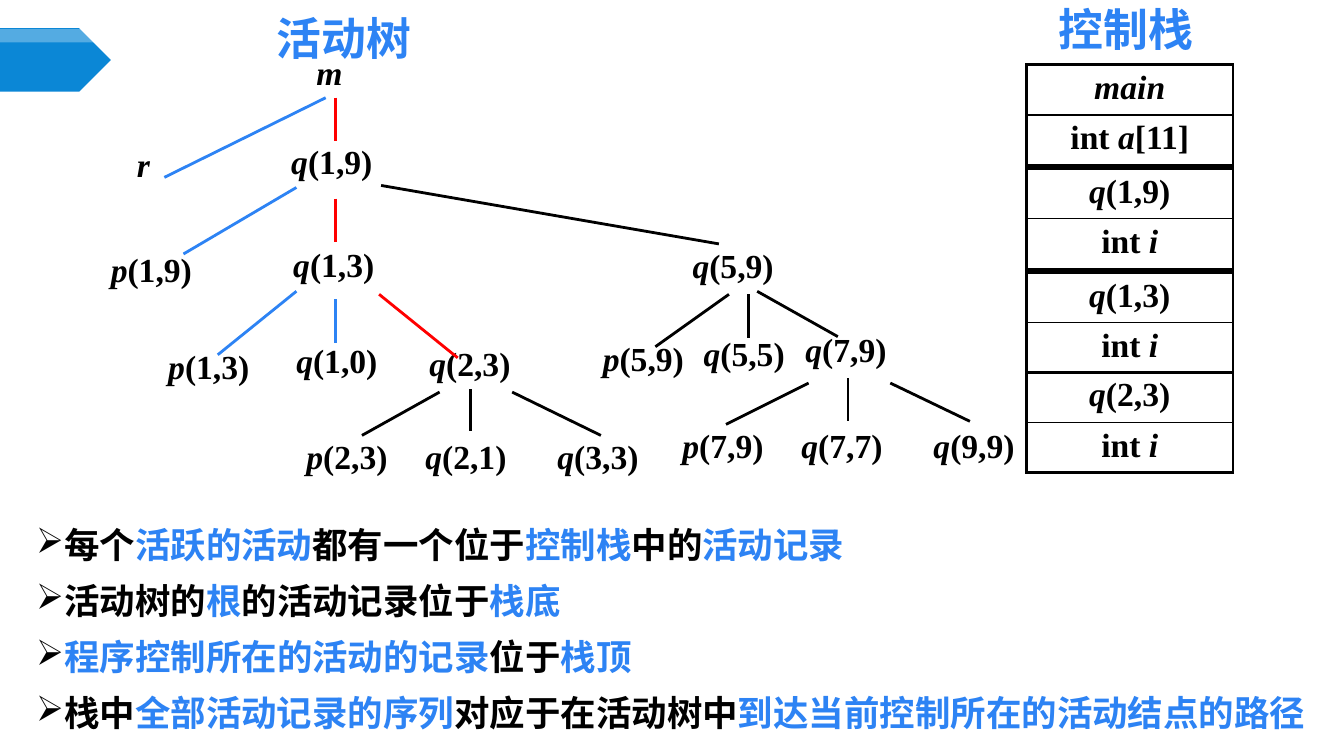
from lxml.etree import SubElement
from pptx import Presentation
from pptx.dml.color import RGBColor
from pptx.enum.shapes import MSO_CONNECTOR, MSO_SHAPE
from pptx.enum.text import MSO_AUTO_SIZE, PP_ALIGN
from pptx.oxml.ns import qn
from pptx.util import Inches, Pt

COLORS = {"black": "000000", "white": "FFFFFF", "blue": "2D83F4",
          "red": "FF0000", "plate": "0B87D6"}
LATIN, CHINESE = "Times New Roman", "Noto Sans CJK SC"

# Marked text: every second part between bars is emphasised.
# Label, left, top and, where it differs, width and height
NODES = [
    ("|m|", 30.4, 4.7, 6.4, 6.6), ("|r|", 12.6, 13.8, 6.3, 6.6),
    ("|q|(1,9)", 27.9, 13.5), ("|p|(1,9)", 10, 24.2),
    ("|q|(1,3)", 28.1, 23.7), ("|q|(5,9)", 67.7, 23.8),
    ("|p|(1,3)", 15.7, 33.8), ("|q|(1,0)", 28.4, 33.2), ("|q|(2,3)", 41.6, 33.5),
    ("|p|(5,9)", 58.8, 33), ("|q|(5,5)", 68.8, 32.5), ("|q|(7,9)", 78.9, 32.1),
    ("|p|(2,3)", 29.4, 42.8), ("|q|(2,1)", 41.2, 42.8, 12.5, 5.2),
    ("|q|(3,3)", 54.3, 42.8),
    ("|p|(7,9)", 66.7, 41.7), ("|q|(7,7)", 78.5, 41.7, 12.5, 5.3),
    ("|q|(9,9)", 91.6, 41.7),
]

# Start column, start row, end column, end row
BRANCHES = {
    "red": [(33.3, 9.7, 33.3, 14), (33.3, 19.7, 33.3, 24), (37.6, 29.2, 45.4, 35.5)],
    "blue": [(32.3, 9.7, 16.3, 17.6), (29.4, 18.6, 18.2, 25.2),
             (29.4, 28.9, 21.6, 35.2), (33.3, 29.7, 33.3, 34)],
    "black": [
        (37.8, 18.4, 71.3, 24.2),
        (72.3, 29.2, 65, 34.4), (74.2, 29.2, 74.2, 33.5), (75.1, 28.9, 83.1, 33.4),
        (43.6, 38.9, 35.9, 43.2), (46.7, 38.6, 46.7, 42.8), (50.8, 38.9, 59.6, 43.2),
        (80.2, 38, 72, 42.1), (84.1, 37.5, 84.1, 41.8), (88.3, 38, 96.2, 41.8),
    ],
}

# Top row, procedure, local variable
RECORDS = [
    (6.4, "|main|", "int |a|[11]"),
    (16.7, "|q|(1,9)", "int |i|"),
    (27, "|q|(1,3)", "int |i|"),
    (36.9, "|q|(2,3)", "int |i|"),
]

POINTS = [
    "每个|活跃的活动|都有一个位于|控制栈|中的|活动记录|",
    "活动树的|根|的活动记录位于|栈底|",
    "|程序控制所在的活动的记录|位于|栈顶|",
    "栈中|全部活动记录的序列|对应于在活动树中|到达当前控制所在的活动结点的路径|",
]


def color(name):
    return RGBColor.from_string(COLORS[name])


def add_color(parent, name):
    SubElement(parent, qn("a:srgbClr"), val=COLORS[name])


class TreeSlide:
    """Draws on a grid whose columns and rows are a tenth of an inch."""

    def __init__(self, deck):
        self.slide = deck.slides.add_slide(deck.slide_layouts[6])
        self.shapes = self.slide.shapes

    def grid(self, *lengths):
        return [Inches(length / 10) for length in lengths]

    def fill_text(self, para, text, size, align, face=LATIN, ink="black", highlight=None):
        """Fill a paragraph; emphasis is a highlight colour, or else italics."""
        para.alignment = align
        font = para.font
        font.size, font.bold, font.name = Pt(size), True, face
        font.color.rgb = color(ink)
        if face == CHINESE:
            SubElement(font._element, qn("a:ea"), typeface=face)
        for index, part in enumerate(text.split("|")):
            if not part:
                continue
            span = para.add_run()
            span.text = part
            if index % 2 and highlight:
                span.font.color.rgb = color(highlight)
            elif index % 2:
                span.font.italic = True

    def frame(self, left, top, width, height, grow=False):
        box = self.shapes.add_textbox(*self.grid(left, top, width, height))
        frame = box.text_frame
        frame.word_wrap = True
        if grow:
            frame.auto_size = MSO_AUTO_SIZE.SHAPE_TO_FIT_TEXT
        return frame

    def title(self, text, *place):
        para = self.frame(*place, grow=True).paragraphs[0]
        self.fill_text(para, text, 32, PP_ALIGN.CENTER, CHINESE, "blue")

    def node(self, label, left, top, width=12.5, height=7.6):
        para = self.frame(left, top, width, height).paragraphs[0]
        self.fill_text(para, label, 24, PP_ALIGN.JUSTIFY)

    def branch(self, ink, *ends):
        line = self.shapes.add_connector(MSO_CONNECTOR.STRAIGHT, *self.grid(*ends))
        line.line.color.rgb = color(ink)
        line.line.width = Pt(2)
        SubElement(line._element.spPr, qn("a:effectLst"))

    def plate(self, fill, opacity, *place):
        plate = self.shapes.add_shape(MSO_SHAPE.PENTAGON, *self.grid(*place))
        plate.shadow.inherit = False
        plate.fill.solid()
        plate.fill.fore_color.rgb = color(fill)
        plate.line.fill.background()
        if opacity < 100:
            tint = plate._element.spPr.find(qn("a:solidFill"))[0]
            SubElement(tint, qn("a:alpha"), val=str(opacity * 1000))

    def record(self, top, *entries):
        """Draw one activation record, thick outside and thin between its rows."""
        place = self.grid(101.8, top, 20.5, 5 * len(entries))
        table = self.shapes.add_table(len(entries), 1, *place).table
        table.first_row = table.horz_banding = False
        last = len(entries) - 1
        for index, entry in enumerate(entries):
            cell = table.cell(index, 0)
            self.fill_text(cell.text_frame.paragraphs[0], entry, 24, PP_ALIGN.CENTER)
            widths = {"L": 2.25, "R": 2.25, "T": 1 if index else 2.25,
                      "B": 1 if index < last else 2.25}
            properties = cell._tc.get_or_add_tcPr()
            for side, width in widths.items():
                edge = SubElement(properties, qn("a:ln" + side), w=str(Pt(width)))
                add_color(SubElement(edge, qn("a:solidFill")), "black")
            cell.fill.background()

    def bullets(self, texts, *place):
        frame = self.frame(*place, grow=True)
        for index, text in enumerate(texts):
            para = frame.add_paragraph() if index else frame.paragraphs[0]
            properties = para._p.get_or_add_pPr()
            properties.set("marL", "0")
            properties.set("indent", "0")
            add_color(SubElement(properties, qn("a:buClr")), "black")
            SubElement(properties, qn("a:buChar"), char="➢")
            para.line_spacing = Pt(40)
            self.fill_text(para, text, 25.3, PP_ALIGN.JUSTIFY, CHINESE, highlight="blue")


def main():
    deck = Presentation()
    deck.slide_width, deck.slide_height = Inches(13.33), Inches(7.5)
    page = TreeSlide(deck)
    page.plate("plate", 100, 0, 2.8, 11, 6.3)
    page.plate("white", 30, 0, 2.9, 11, 1.3)
    page.title("活动树", 18.8, 0.6, 30.7, 6.4)
    page.title("控制栈", 101.3, -0.3, 20.8, 6.4)
    for node in NODES:
        page.node(*node)
    for ink, branches in BRANCHES.items():
        for ends in branches:
            page.branch(ink, *ends)
    for record in RECORDS:
        page.record(*record)
    page.bullets(POINTS, 2.6, 50.1, 129.1, 22.6)
    deck.save("out.pptx")


if __name__ == "__main__":
    main()
